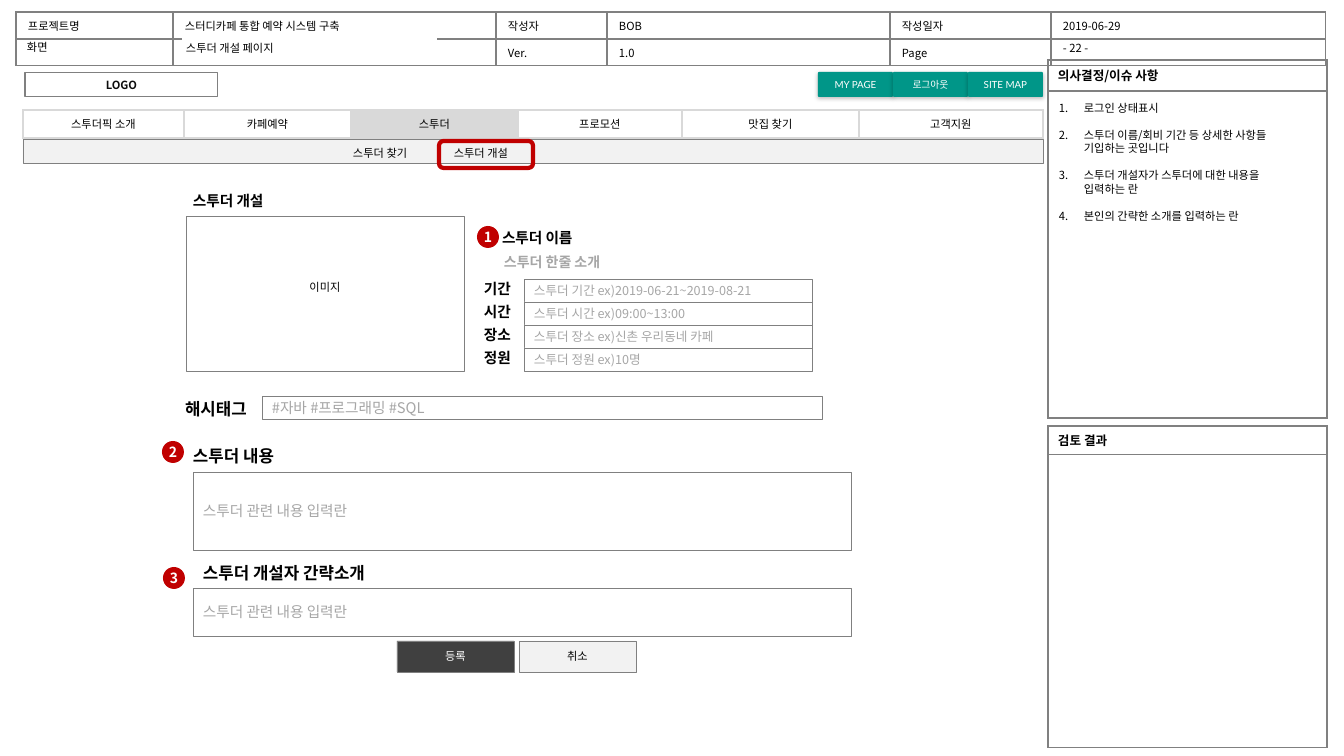
"""Build the wireframe slide for the study-group creation page."""
from dataclasses import dataclass

from lxml import etree
from pptx import Presentation, util as u
from pptx.dml.color import RGBColor
from pptx.enum import shapes, text
from pptx.oxml import ns

SCALE = 914400 / 100.8
KOREAN = "Noto Sans CJK KR"
BLACK, WHITE, GRAY, HINT = "000000", "FFFFFF", "808080", "A6A6A6"
PALE, SILVER, RED, TEAL = "F2F2F2", "D9D9D9", "C00000", "009688"
LEFT, CENTER = text.PP_ALIGN.LEFT, text.PP_ALIGN.CENTER
TOP, MIDDLE = text.MSO_ANCHOR.TOP, text.MSO_ANCHOR.MIDDLE
RECT, ROUND = shapes.MSO_SHAPE.RECTANGLE, shapes.MSO_SHAPE.ROUNDED_RECTANGLE
OVAL = shapes.MSO_SHAPE.OVAL


@dataclass(frozen=True)
class Style:
    size: float = 8
    color: str = BLACK
    bold: bool = False
    align: int = LEFT
    anchor: int = MIDDLE
    insets: tuple[int, int, int, int] = (10, 5, 10, 5)
    font: str = KOREAN
    wrap: bool = True


@dataclass(frozen=True)
class Box:
    left: int
    top: int
    width: int
    height: int
    words: str = ""
    style: Style = Style()
    fill: str = ""
    line: str = ""
    weight: float = 0.25
    kind: int = RECT
    raised: bool = False


@dataclass(frozen=True)
class Label:
    left: int
    top: int
    width: int
    height: int
    words: str
    style: Style


@dataclass(frozen=True)
class Grid:
    left: int
    top: int
    columns: list[int]
    rows: list[int]
    cells: list[list[str]]
    style: Style
    border: str = GRAY
    fills: tuple[str, ...] = ()


def px(value: float) -> int:
    return round(value * SCALE)


def rgb(value: str) -> RGBColor:
    return RGBColor.from_string(value)


def child(parent, tag: str, **attributes: str):
    return etree.SubElement(parent, ns.qn(tag), attributes)


def format_text(frame, style: Style) -> None:
    for paragraph in frame.paragraphs:
        paragraph.alignment = style.align
        for run in paragraph.runs:
            font = run.font
            font.size, font.bold, font.name = u.Pt(style.size), style.bold, style.font
            font.color.rgb = rgb(style.color)
            child(font._element, "a:ea", typeface=KOREAN)


def fill_frame(frame, words: str, style: Style) -> None:
    frame.text = words
    frame.word_wrap = style.wrap
    frame.vertical_anchor = style.anchor
    (frame.margin_left, frame.margin_top,
     frame.margin_right, frame.margin_bottom) = map(px, style.insets)
    format_text(frame, style)


def add_box(slide, box: Box) -> None:
    shape = slide.shapes.add_shape(
        box.kind, px(box.left), px(box.top), px(box.width), px(box.height))
    shape.shadow.inherit = False
    if box.fill:
        shape.fill.solid()
        shape.fill.fore_color.rgb = rgb(box.fill)
    else:
        shape.fill.background()
    if box.line:
        shape.line.color.rgb = rgb(box.line)
        shape.line.width = u.Pt(box.weight)
    else:
        shape.line.fill.background()
    if box.raised:
        shape.adjustments[0] = 0.05
        effects = shape._element.spPr.find(ns.qn("a:effectLst"))
        shadow = child(effects, "a:outerShdw", blurRad=str(u.Pt(3)), dist=str(u.Pt(1)),
                       dir="5400000", algn="t", rotWithShape="0")
        child(child(shadow, "a:srgbClr", val=BLACK), "a:alpha", val="25000")
    if box.words:
        fill_frame(shape.text_frame, box.words, box.style)


def add_label(slide, label: Label):
    shape = slide.shapes.add_textbox(
        px(label.left), px(label.top), px(label.width), px(label.height))
    fill_frame(shape.text_frame, label.words, label.style)
    return shape.text_frame


def format_cell(cell, words: str, grid: Grid, fill: str) -> None:
    style = grid.style
    cell.text = words
    cell.vertical_anchor = style.anchor
    (cell.margin_left, cell.margin_top,
     cell.margin_right, cell.margin_bottom) = map(px, style.insets)
    format_text(cell.text_frame, style)
    if not words:
        child(cell.text_frame.paragraphs[0]._p, "a:endParaRPr", sz=str(style.size * 100))
    if fill:
        cell.fill.solid()
        cell.fill.fore_color.rgb = rgb(fill)
    else:
        cell.fill.background()
    properties = cell._tc.get_or_add_tcPr()
    for index, side in enumerate("LRTB"):
        line = child(properties, f"a:ln{side}", w=str(u.Pt(1)))
        child(child(line, "a:solidFill"), "a:srgbClr", val=grid.border)
        properties.insert(index, line)


def add_grid(slide, grid: Grid) -> None:
    table = slide.shapes.add_table(
        len(grid.rows), len(grid.columns), px(grid.left), px(grid.top),
        px(sum(grid.columns)), px(sum(grid.rows))).table
    table.first_row = table.horz_banding = False
    for column, width in zip(table.columns, grid.columns):
        column.width = px(width)
    for row, height, words in zip(table.rows, grid.rows, grid.cells):
        row.height = px(height)
        for index, cell in enumerate(row.cells):
            format_cell(cell, words[index], grid, grid.fills[index] if grid.fills else "")


def add_notes_list(slide, items: list[str]) -> None:
    frame = add_label(slide, Label(1049, 96, 264, 297, "\n".join(items), Style(anchor=TOP)))
    for paragraph in frame.paragraphs:
        paragraph.line_spacing, paragraph.space_after = u.Pt(9.7), u.Pt(9.6)
        properties = paragraph._p.get_or_add_pPr()
        properties.set("marL", str(px(25)))
        properties.set("indent", str(-px(25)))
        child(properties, "a:buAutoNum", type="arabicPeriod")


PLAIN = Style(anchor=TOP)
CENTERED = Style(align=CENTER)
HEADING = Style(12, bold=True, anchor=TOP)
NAME = Style(10.5, bold=True, anchor=TOP)
PANEL = Style(9, bold=True)
LARGE_HINT = Style(10.5, HINT)
BADGE = Style(10, WHITE, True, CENTER, insets=(0, 0, 0, 0), wrap=False)
BUTTON = Style(7, WHITE, align=CENTER, insets=(8, 5, 8, 5), font="Lato")

GRIDS = [
    Grid(16, 12, [157, 323, 111, 283, 161, 275], [27, 26],
         [["프로젝트명", "스터디카페 통합 예약 시스템 구축", "작성자", "BOB", "작성일자", "2019-06-29"],
          ["", "", "Ver.", "1.0", "Page", ""]], Style(anchor=TOP, insets=(12, 5, 12, 5))),
    Grid(1048, 60, [279], [31, 327], [["의사결정/이슈 사항"], [""]], PANEL),
    Grid(1048, 426, [279], [28, 293], [["검토 결과"], [""]], PANEL),
    Grid(23, 110, [161, 167, 167, 164, 177, 184], [28],
         [["스투더픽 소개", "카페예약", "스투더", "프로모션", "맛집 찾기", "고객지원"]],
         Style(align=CENTER, insets=(12, 5, 12, 5)), SILVER,
         (WHITE, WHITE, SILVER, WHITE, WHITE, WHITE)),
]
FIELDS = [("기간", "스투더 기간 ex)2019-06-21~2019-08-21"), ("시간", "스투더 시간 ex)09:00~13:00"),
          ("장소", "스투더 장소 ex)신촌 우리동네 카페"), ("정원", "스투더 정원 ex)10명")]
BOXES = [
    Box(25, 73, 193, 24, "LOGO", Style(color="0D0D0D", bold=True, align=CENTER), "", GRAY, 0.75),
    Box(183, 38, 253, 19, fill=WHITE, line=WHITE, weight=1),
    Box(186, 216, 278, 155, "이미지", Style(align=CENTER, insets=(10, 5, 10, 18)), WHITE, GRAY),
    Box(193, 472, 658, 78, "스투더 관련 내용 입력란", LARGE_HINT, WHITE, GRAY),
    Box(193, 588, 658, 48, "스투더 관련 내용 입력란", LARGE_HINT, WHITE, GRAY),
    Box(262, 396, 560, 23, "#자바 #프로그래밍 #SQL", LARGE_HINT, WHITE, GRAY),
    Box(397, 641, 117, 31, "등록", Style(color=WHITE, align=CENTER), "404040", GRAY),
    Box(519, 641, 117, 31, "취소", CENTERED, PALE, GRAY),
    Box(23, 139, 1020, 24, fill=PALE, line=GRAY, weight=0.5),
    Box(439, 141, 94, 27, line=RED, weight=3, kind=ROUND),
    *(Box(524, 279 + 23 * i, 288, 23, hint, Style(9, HINT), WHITE, GRAY)
      for i, (_, hint) in enumerate(FIELDS)),
    *(Box(left, top, 22, 22, str(number), BADGE, RED, kind=OVAL)
      for number, (left, top) in enumerate([(477, 226), (162, 441), (163, 567)], 1)),
    *(Box(818 + 75 * i, 72, 75, 25, words, BUTTON, TEAL, kind=ROUND, raised=True)
      for i, words in enumerate(["MY PAGE", "로그아웃", "SITE MAP"])),
]
LABELS = [
    Label(1053, 36, 108, 24, "- 22 -", PLAIN),
    Label(17, 35, 41, 24, "화면", Style(anchor=TOP, wrap=False)),
    Label(176, 38, 264, 20, "스투더 개설 페이지", Style()),
    Label(183, 187, 144, 29, "스투더 개설", NAME),
    Label(492, 224, 144, 29, "스투더 이름", NAME),
    Label(494, 249, 148, 27, "스투더 한줄 소개", Style(10, HINT, True, anchor=TOP)),
    Label(183, 441, 144, 30, "스투더 내용", HEADING),
    Label(193, 558, 214, 30, "스투더 개설자 간략소개", HEADING),
    Label(175, 394, 144, 30, "해시태그", HEADING),
    Label(345, 142, 178, 22, "스투더 찾기\t스투더 개설", Style(anchor=TOP, insets=(8, 4, 8, 4))),
    *(Label(474, 275 + 23 * i, 144, 29, name, NAME) for i, (name, _) in enumerate(FIELDS)),
]
NOTES = ["로그인 상태표시", "스투더 이름/회비 기간 등 상세한 사항들\v기입하는 곳입니다",
         "스투더 개설자가 스투더에 대한 내용을\v입력하는 란", "본인의 간략한 소개를 입력하는 란"]

presentation = Presentation()
presentation.slide_width, presentation.slide_height = px(1344), px(756)
page = presentation.slides.add_slide(presentation.slide_layouts[6])
for draw, items in ((add_grid, GRIDS), (add_box, BOXES), (add_label, LABELS)):
    for item in items:
        draw(page, item)
add_notes_list(page, NOTES)
presentation.save("out.pptx")
